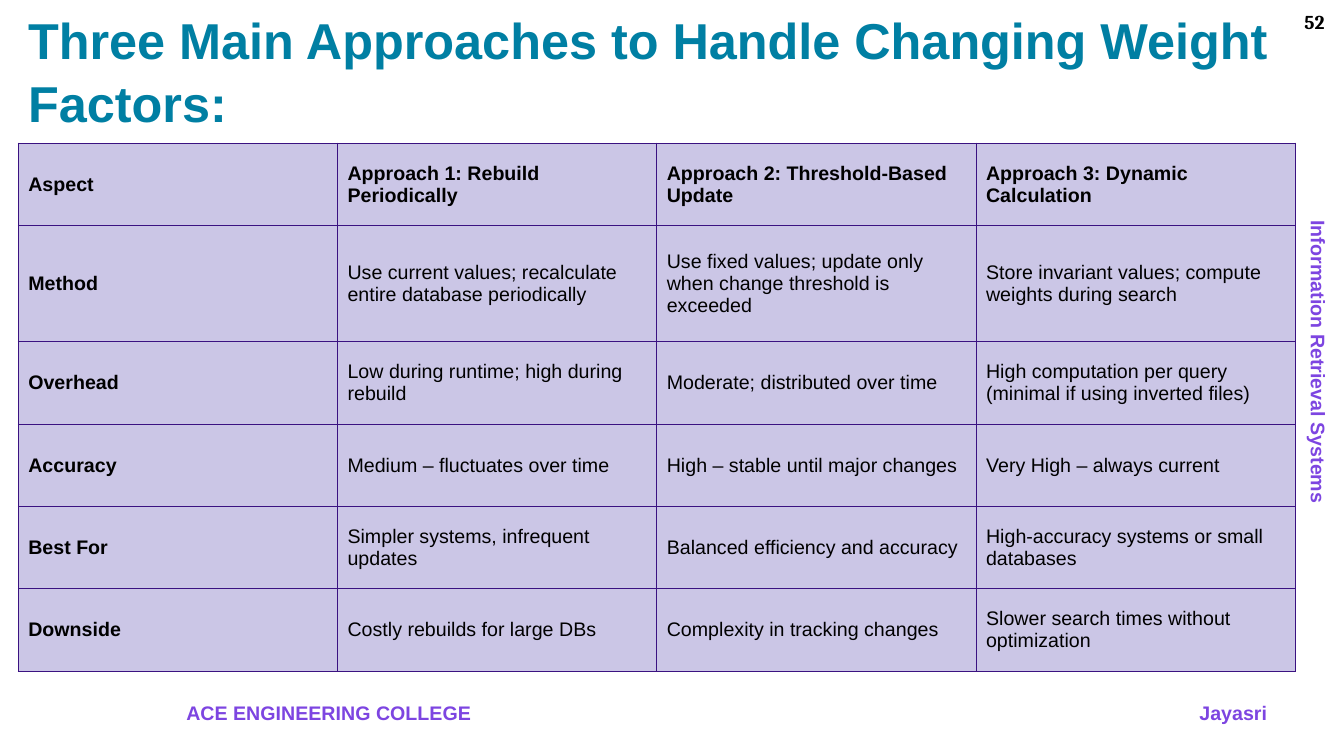
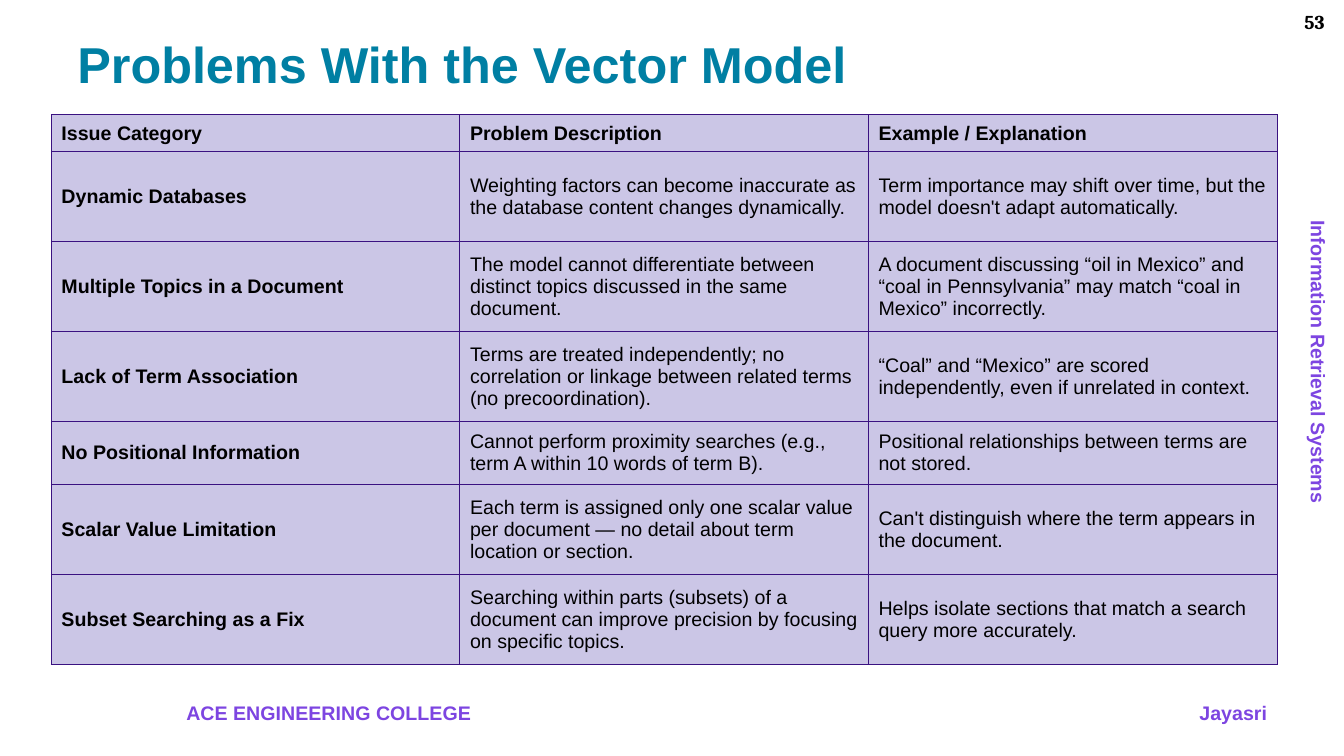
from dataclasses import dataclass

from lxml import etree
from pptx import Presentation
from pptx.dml.color import RGBColor
from pptx.enum.text import MSO_ANCHOR, PP_ALIGN
from pptx.oxml.ns import qn
from pptx.util import Pt

LEFT, RIGHT = PP_ALIGN.LEFT, PP_ALIGN.RIGHT
TOP, MIDDLE, BOTTOM = MSO_ANCHOR.TOP, MSO_ANCHOR.MIDDLE, MSO_ANCHOR.BOTTOM

SANS, SERIF = "Arial", "Cambria"
TEAL, VIOLET, BLACK = "007FA3", "7D45E1", "000000"
CELL_FILL, CELL_BORDER = "CBC6E6", "3A1281"
BORDER_WIDTH = 0.75
BODY_SIZE, TITLE_SIZE = 14, 36


@dataclass(frozen=True)
class Box:
    left: float
    top: float
    width: float
    height: float


@dataclass(frozen=True)
class Label:
    text: str
    box: Box
    align: PP_ALIGN = LEFT
    color: str = VIOLET
    font: str = SANS
    size: float = BODY_SIZE
    anchor: MSO_ANCHOR = TOP
    inset: float = 3.6
    rotation: float = 0
    wrap: bool = True
    spacing: float = 1.0


@dataclass(frozen=True)
class TableSlide:
    number: int
    title: str
    title_box: Box
    left: float
    top: float
    width: float
    row_heights: list[float]
    rows: list[tuple[str, ...]]


FOOTERS = [
    Label("Jayasri", Box(651.6, 496.8, 260.6, 24.2), align=RIGHT),
    Label("ACE ENGINEERING COLLEGE", Box(126, 496.8, 340.6, 24.2)),
    Label("Information Retrieval Systems", Box(833, 247, 217.4, 24.2),
          rotation=90, wrap=False),
]

SLIDES = [
    TableSlide(
        52, "Three Main Approaches to Handle Changing Weight Factors:",
        Box(13, 15.8, 912.2, 86.4), 13, 102.2, 912.2,
        [58.8, 83.2] + [58.8] * 4,
        [
            ("Aspect", "Approach 1: Rebuild Periodically",
             "Approach 2: Threshold-Based Update",
             "Approach 3: Dynamic Calculation"),
            ("Method",
             "Use current values; recalculate entire database periodically",
             "Use fixed values; update only when change threshold is exceeded",
             "Store invariant values; compute weights during search"),
            ("Overhead", "Low during runtime; high during rebuild",
             "Moderate; distributed over time",
             "High computation per query (minimal if using inverted files)"),
            ("Accuracy", "Medium – fluctuates over time",
             "High – stable until major changes",
             "Very High – always current"),
            ("Best For", "Simpler systems, infrequent updates",
             "Balanced efficiency and accuracy",
             "High-accuracy systems or small databases"),
            ("Downside", "Costly rebuilds for large DBs",
             "Complexity in tracking changes",
             "Slower search times without optimization"),
        ],
    ),
    TableSlide(
        53, "Problems With the Vector Model",
        Box(48.2, 17.3, 864, 56.9), 36.7, 82.1, 875.5,
        [26.4] + [64.2] * 3 + [45.2] + [64.2] * 2,
        [
            ("Issue Category", "Problem Description",
             "Example / Explanation"),
            ("Dynamic Databases",
             "Weighting factors can become inaccurate as the database "
             "content changes dynamically.",
             "Term importance may shift over time, but the model doesn't "
             "adapt automatically."),
            ("Multiple Topics in a Document",
             "The model cannot differentiate between distinct topics "
             "discussed in the same document.",
             "A document discussing “oil in Mexico” and “coal in "
             "Pennsylvania” may match “coal in Mexico” incorrectly."),
            ("Lack of Term Association",
             "Terms are treated independently; no correlation or linkage "
             "between related terms (no precoordination).",
             "“Coal” and “Mexico” are scored independently, even if "
             "unrelated in context."),
            ("No Positional Information",
             "Cannot perform proximity searches (e.g., term A within 10 "
             "words of term B).",
             "Positional relationships between terms are not stored."),
            ("Scalar Value Limitation",
             "Each term is assigned only one scalar value per document — no "
             "detail about term location or section.",
             "Can't distinguish where the term appears in the document."),
            ("Subset Searching as a Fix",
             "Searching within parts (subsets) of a document can improve "
             "precision by focusing on specific topics.",
             "Helps isolate sections that match a search query more "
             "accurately."),
        ],
    ),
]


def rgb(color: str) -> RGBColor:
    return RGBColor.from_string(color)


def style_run(r, font: str, size: float, color: str, bold: bool) -> None:
    r.font.name = font
    r.font.size = Pt(size)
    r.font.bold = bold
    r.font.color.rgb = rgb(color)


def add_label(s, label: Label) -> None:
    box = label.box
    sp = s.shapes.add_textbox(Pt(box.left), Pt(box.top),
                              Pt(box.width), Pt(box.height))
    sp.rotation = label.rotation
    tf = sp.text_frame
    tf.word_wrap = label.wrap
    tf.vertical_anchor = label.anchor
    tf.margin_left = tf.margin_right = Pt(7.2)
    tf.margin_top = tf.margin_bottom = Pt(label.inset)
    tf.text = label.text
    p = tf.paragraphs[0]
    p.alignment = label.align
    p.line_spacing = label.spacing
    style_run(p.runs[0], label.font, label.size, label.color, True)


def add_borders(cell) -> None:
    """Outline a cell; must run before the cell gets its fill."""
    tc_pr = cell._tc.get_or_add_tcPr()
    for side in ("a:lnL", "a:lnR", "a:lnT", "a:lnB"):
        line = etree.SubElement(tc_pr, qn(side), w=str(Pt(BORDER_WIDTH)))
        fill = etree.SubElement(line, qn("a:solidFill"))
        etree.SubElement(fill, qn("a:srgbClr"), val=CELL_BORDER)


def fill_cell(cell, text: str, bold: bool) -> None:
    add_borders(cell)
    cell.fill.solid()
    cell.fill.fore_color.rgb = rgb(CELL_FILL)
    cell.vertical_anchor = MIDDLE
    cell.text_frame.text = text
    style_run(cell.text_frame.paragraphs[0].runs[0],
              SANS, BODY_SIZE, BLACK, bold)


def add_grid(s, content: TableSlide) -> None:
    """Draw the table with equal columns, bold first row and first column."""
    n_cols = len(content.rows[0])
    table = s.shapes.add_table(
        len(content.rows), n_cols, Pt(content.left), Pt(content.top),
        Pt(content.width), Pt(sum(content.row_heights))).table
    for column in table.columns:
        column.width = Pt(content.width / n_cols)
    for i, (height, texts) in enumerate(zip(content.row_heights,
                                            content.rows)):
        table.rows[i].height = Pt(height)
        for j, text in enumerate(texts):
            fill_cell(table.cell(i, j), text, bold=i == 0 or j == 0)


def add_slide(prs, content: TableSlide) -> None:
    s = prs.slides.add_slide(prs.slide_layouts[6])
    for footer in FOOTERS:
        add_label(s, footer)
    add_label(s, Label(str(content.number), Box(900, 3.6, 53.3, 24.2),
                       align=RIGHT, color=BLACK, font=SERIF))
    add_label(s, Label(content.title, content.title_box, color=TEAL,
                       size=TITLE_SIZE, anchor=BOTTOM, inset=7.2,
                       spacing=1.05))
    add_grid(s, content)


def main() -> None:
    prs = Presentation()
    prs.slide_width, prs.slide_height = Pt(960), Pt(540)
    for content in SLIDES:
        add_slide(prs, content)
    prs.save("out.pptx")


if __name__ == "__main__":
    main()
